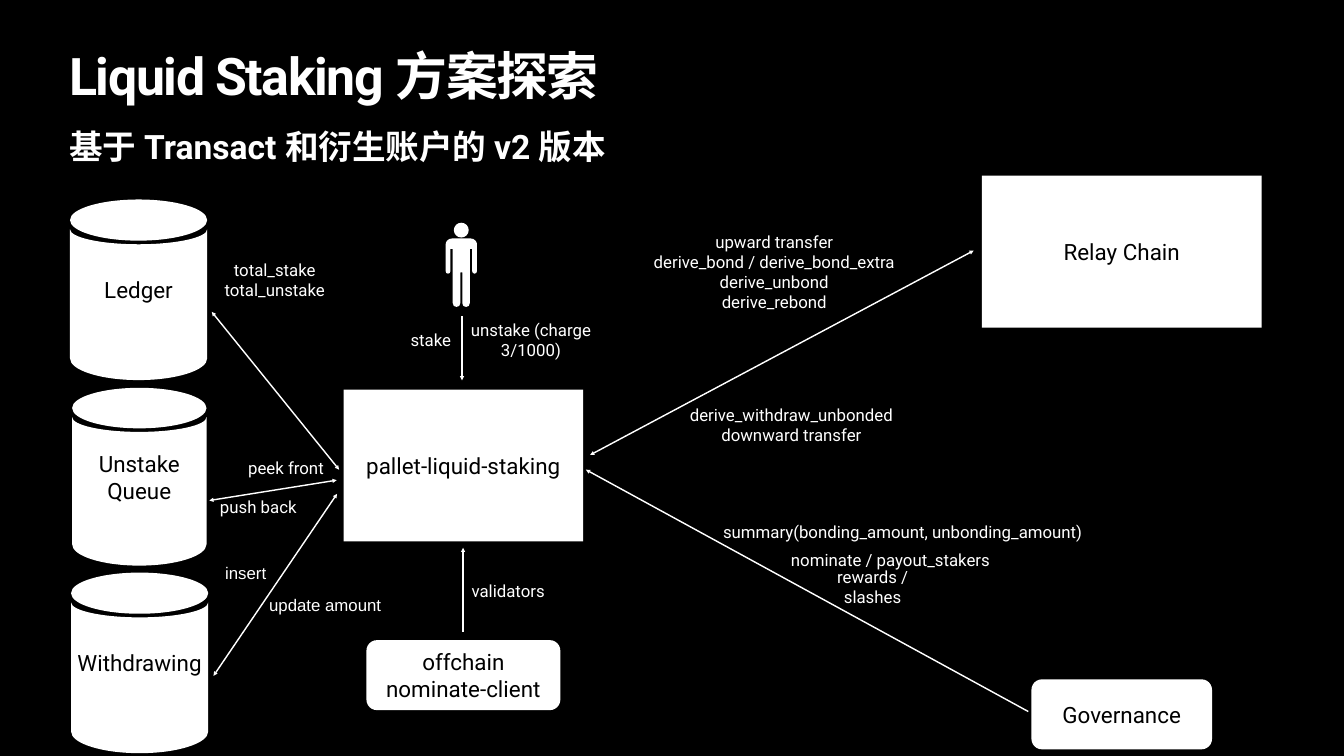
from lxml import etree
from pptx import Presentation
from pptx.dml.color import RGBColor
from pptx.enum.shapes import MSO_CONNECTOR, MSO_SHAPE
from pptx.enum.text import MSO_ANCHOR, PP_ALIGN
from pptx.oxml.ns import qn
from pptx.util import Pt

CENTER, LEFT = PP_ALIGN.CENTER, PP_ALIGN.LEFT
MIDDLE, TOP = MSO_ANCHOR.MIDDLE, MSO_ANCHOR.TOP
RECTANGLE, ROUNDED = MSO_SHAPE.RECTANGLE, MSO_SHAPE.ROUNDED_RECTANGLE
STRAIGHT = MSO_CONNECTOR.STRAIGHT
COLORS = {"background": "000000", "light": "FFFFFF", "dark": "000000"}


def write(shape, lines, size, color, wrap=True, align=CENTER, anchor=MIDDLE, bold=False, font="Roboto"):
    frame = shape.text_frame
    frame.margin_left = frame.margin_right = frame.margin_top = frame.margin_bottom = Pt(4)
    frame.word_wrap = wrap
    frame.vertical_anchor = anchor
    frame.text = "\n".join(lines)
    for para in frame.paragraphs:
        para.alignment = align
        para.font.name = font
        para.font.size = Pt(size)
        para.font.bold = bold
        para.font.color.rgb = RGBColor.from_string(COLORS[color])


def outline(page, contours, steps):
    scaled = [[(Pt(x), Pt(y)) for x, y in contour] for contour in contours]
    builder = page.shapes.build_freeform(*scaled[0][0], scale=1.0)
    builder.add_line_segments(scaled[0][1:], close=True)
    for contour in scaled[1:]:
        builder.move_to(*contour[0])
        builder.add_line_segments(contour[1:], close=True)
    shape = builder.convert_to_shape()
    segments = list(shape._element.iter(qn("a:lnTo")))
    for step in steps:
        group, segments = segments[:step], segments[step:]
        if step == 3:
            curve = etree.Element(qn("a:cubicBezTo"))
            group[0].addprevious(curve)
            for segment in group:
                curve.append(segment[0])
                segment.getparent().remove(segment)
    return shape


deck = Presentation()
deck.slide_width, deck.slide_height = Pt(1920), Pt(1080)
page = deck.slides.add_slide(deck.slide_layouts[6])
page.background.fill.solid()
page.background.fill.fore_color.rgb = RGBColor.from_string(COLORS["background"])

title = page.shapes.add_textbox(Pt(95), Pt(75), Pt(1730), Pt(113))
write(title, ["Liquid Staking 方案探索"], 74, "light", align=LEFT, anchor=TOP, bold=True)
heading = title.text_frame.paragraphs[0]
heading.line_spacing = 0.8
heading.runs[0].font._element.set("spc", "-200")
subtitle = page.shapes.add_textbox(Pt(95), Pt(176.5), Pt(1730), Pt(73))
write(subtitle, ["基于 Transact 和衍生账户的 v2 版本"], 48, "light", align=LEFT, anchor=TOP, bold=True)

bend = 0.55
half = [(1, 0), (1, bend), (bend, 1), (0, 1), (-bend, 1), (-1, bend), (-1, 0)]
circle = half + [(-x, -y) for x, y in half[1:]]

user_x = 659
head = [(user_x + 10.6 * x, 328.8 + 10.6 * y) for x, y in circle]
right_side = [
    (12.2, 340.5), (16, 340.5), (19, 342), (20.5, 344), (22.3, 346), (22.3, 348.5), (22.3, 349.5),
    (22.3, 387.5), (22.3, 389.5), (21, 391), (19, 391), (17, 391), (15.6, 389.5), (15.6, 387.5),
    (15.6, 355.7), (12.2, 355.7), (12.2, 433), (12.2, 436.5), (10, 438.5), (6.8, 438.5),
    (3.7, 438.5), (1.4, 436.5), (1.4, 433), (1.4, 389),
]
side_steps = [3, 3, 1, 3, 3, 1, 1, 1, 3, 3, 1]
body = [(user_x + x, y) for x, y in right_side]
body += [(user_x - x, y) for x, y in reversed(right_side)]
filled = [outline(page, [head, body], [3] * 4 + side_steps + [1] + side_steps[::-1])]

for left, top, width, height, lines in [
    (100, 285, 196, 258, ["Ledger"]),
    (103, 554, 192, 254, ["Unstake", "Queue"]),
    (101.5, 818, 196, 258, ["Withdrawing"]),
]:
    radius, middle = width / 2, left + width / 2
    rim, shoulder, base = height * 0.114, top + height * 0.165, top + height * 0.88
    lid = [(middle + radius * x, top + rim + rim * y) for x, y in circle]
    wall = [(middle + radius * x, shoulder + height * 0.083 * y) for x, y in half]
    wall += [(middle - radius * x, base + height * 0.12 * y) for x, y in half]
    cylinder = outline(page, [lid, wall], [3] * 6 + [1, 3, 3])
    write(cylinder, lines, 32, "dark")
    filled.append(cylinder)

for kind, left, top, width, height, label in [
    (RECTANGLE, 491, 556.5, 342, 217, "pallet-liquid-staking"),
    (RECTANGLE, 1402.5, 251, 400, 217, "Relay Chain"),
    (ROUNDED, 523.5, 914.5, 277, 100, "offchain nominate-client"),
    (ROUNDED, 1473.5, 970.5, 258, 100, "Governance"),
]:
    box = page.shapes.add_shape(kind, Pt(left), Pt(top), Pt(width), Pt(height))
    if kind == ROUNDED:
        box.adjustments[0] = 0.15
    write(box, [label], 32, "dark")
    filled.append(box)

for shape in filled:
    shape.shadow.inherit = False
    shape.fill.solid()
    shape.fill.fore_color.rgb = RGBColor.from_string(COLORS["light"])
    shape.line.fill.background()

for x1, y1, x2, y2, ends in [
    (660, 452, 660, 543.5, ["tailEnd"]),
    (661.5, 782.5, 661.5, 903.5, ["headEnd"]),
    (843, 650, 1391, 358, ["headEnd", "tailEnd"]),
    (1469, 1016.5, 837, 671, ["tailEnd"]),
    (302.5, 445.5, 484.5, 671, ["headEnd", "tailEnd"]),
    (299, 715, 481, 686, ["headEnd", "tailEnd"]),
    (305, 965.5, 481.5, 705.5, ["headEnd", "tailEnd"]),
]:
    arrow = page.shapes.add_connector(STRAIGHT, Pt(x1), Pt(y1), Pt(x2), Pt(y2))
    arrow.line.color.rgb = RGBColor.from_string(COLORS["light"])
    arrow.line.width = Pt(2)
    for end in ends:
        etree.SubElement(arrow.line._get_or_add_ln(), qn("a:" + end), type="triangle")
    etree.SubElement(arrow._element.spPr, qn("a:effectLst"))

for left, top, width, height, wrap, font, lines in [
    (582, 468, 67, 36, False, "Roboto", ["stake"]),
    (668.5, 468, 180, 36, True, "Roboto", ["unstake (charge 3/1000)"]),
    (669.5, 826, 113, 36, False, "Roboto", ["validators"]),
    (925, 327, 362, 123, False, "Roboto",
     ["upward transfer", "derive_bond / derive_bond_extra", "derive_unbond", "derive_rebond"]),
    (973, 574, 315, 66, False, "Roboto", ["derive_withdraw_unbonded", "downward transfer"]),
    (1028, 742, 523, 36, False, "Roboto", ["summary(bonding_amount, unbonding_amount)"]),
    (1125, 781, 294, 36, False, "Roboto", ["nominate / payout_stakers"]),
    (1189, 820, 115, 36, True, "Roboto", ["rewards / slashes"]),
    (316, 367, 153, 66, False, "Roboto", ["total_stake", "total_unstake"]),
    (350, 650, 117, 36, False, "Roboto", ["peek front"]),
    (308.5, 706, 121, 36, False, "Roboto", ["push back"]),
    (317, 800, 68, 37, False, "Arial", ["insert"]),
    (380, 846, 169, 37, False, "Arial", ["update amount"]),
]:
    label = page.shapes.add_textbox(Pt(left), Pt(top), Pt(width), Pt(height))
    write(label, lines, 24, "light", wrap=wrap, font=font)

deck.save("out.pptx")
